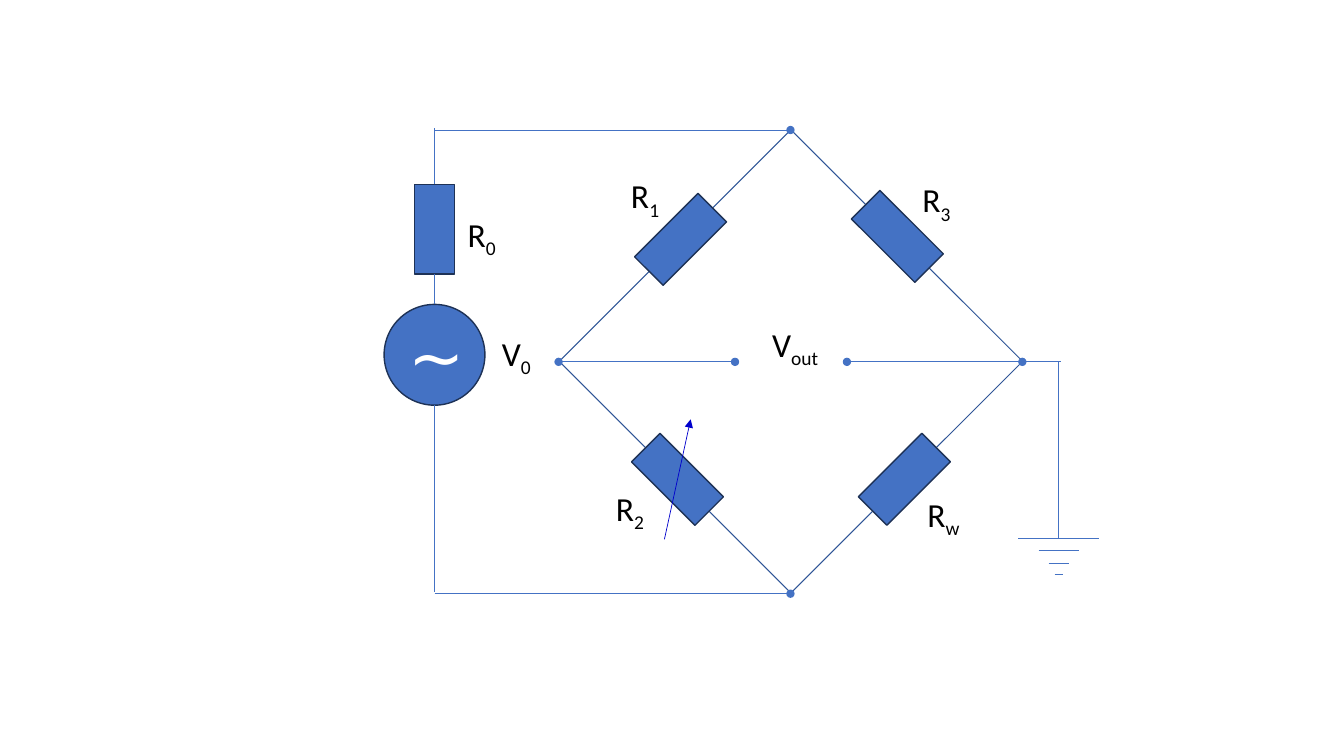
from pptx import Presentation
from pptx import util as u
from pptx.dml.color import RGBColor
from pptx.enum import shapes, text
from pptx.oxml import parse_xml
from pptx.oxml.ns import nsdecls, qn

PX = 9144
COLORS = {
    "part": "4472C4",
    "outline": "1E3256",
    "bridge": "2F5597",
    "arrow": "0000CC",
    "label": "000000",
    "symbol": "FFFFFF",
}
RGB = {name: RGBColor.from_string(value) for name, value in COLORS.items()}

prs = Presentation()
prs.slide_width, prs.slide_height = 1333 * PX, 750 * PX
s = prs.slides.add_slide(prs.slide_layouts[6])


def add_part(kind, x, y, w, h, rotation=0, fill="part", line="outline", width=1):
    sp = s.shapes.add_shape(kind, x * PX, y * PX, w * PX, h * PX)
    sp.shadow.inherit = False
    sp.rotation = rotation
    if fill:
        sp.fill.solid()
        sp.fill.fore_color.rgb = RGB[fill]
    else:
        sp.fill.background()
    sp.line.color.rgb = RGB[line]
    sp.line.width = u.Pt(width)
    return sp


def add_wire(x1, y1, x2, y2, head=None, tail=None, color="part"):
    c = s.shapes.add_connector(
        shapes.MSO_CONNECTOR.STRAIGHT, x1 * PX, y1 * PX, x2 * PX, y2 * PX
    )
    c.line.color.rgb = RGB[color]
    c.line.width = u.Pt(0.5)
    spPr = c.element.spPr
    for tag, end in (("headEnd", head), ("tailEnd", tail)):
        if end:
            spPr.find(qn("a:ln")).append(
                parse_xml(f'<a:{tag} {nsdecls("a")} type="{end}"/>')
            )
    spPr.append(parse_xml(f'<a:effectLst {nsdecls("a")}/>'))


source = add_part(shapes.MSO_SHAPE.OVAL, 381, 302, 100, 100)
tf = source.text_frame
tf.vertical_anchor = text.MSO_ANCHOR.MIDDLE
p = tf.paragraphs[0]
p.text = "∼"
p.alignment = text.PP_ALIGN.CENTER
p.font.name = "Calibri"
p.font.size = u.Pt(48)
p.font.color.rgb = RGB["symbol"]

add_part(shapes.MSO_SHAPE.RECTANGLE, 622, 196, 325, 325, 315, None, "bridge", 0.75)

resistors = [
    (411, 183, 0),
    (870, 190, 315),
    (652, 431, 315),
    (655, 193, 45),
    (877, 431, 45),
]
for x, y, rotation in resistors:
    add_part(shapes.MSO_SHAPE.RECTANGLE, x, y, 40, 89, rotation)

add_wire(659, 535, 685, 416, tail="triangle", color="arrow")

for y1, y2 in [(302, 272), (183, 127), (587, 402)]:
    add_wire(431, y1, 431, y2)
for y in (129, 589):
    add_wire(431, y, 784, y, tail="oval")
for x1, x2 in [(554, 729), (840, 1014)]:
    add_wire(x1, 359, x2, 359, head="oval", tail="oval")

add_wire(1018, 359, 1052, 359)
add_wire(1050, 359, 1050, 534)
for half_width, y in [(40, 534), (20, 546), (10, 559), (4, 570)]:
    add_wire(1050 - half_width, y, 1050 + half_width, y)

labels = [
    ("V", "out", 756, 316, 76),
    ("R", "0", 454, 207, 51),
    ("R", "2", 601, 479, 51),
    ("R", "1", 616, 169, 51),
    ("R", "3", 905, 173, 51),
    ("R", "w", 910, 485, 58),
    ("V", "0", 488, 325, 51),
]
for name, subscript, x, y, w in labels:
    sp = s.shapes.add_textbox(x * PX, y * PX, w * PX, 50 * PX)
    tf = sp.text_frame
    tf.word_wrap = False
    tf.auto_size = text.MSO_AUTO_SIZE.SHAPE_TO_FIT_TEXT
    p = tf.paragraphs[0]
    p.font.name = "Calibri"
    p.font.size = u.Pt(24)
    p.font.color.rgb = RGB["label"]
    for part in (name, subscript):
        r = p.add_run()
        r.text = part
    runs = list(sp.element.iter(qn("a:r")))
    runs[-1].get_or_add_rPr().set("baseline", "-25000")

prs.save("out.pptx")
